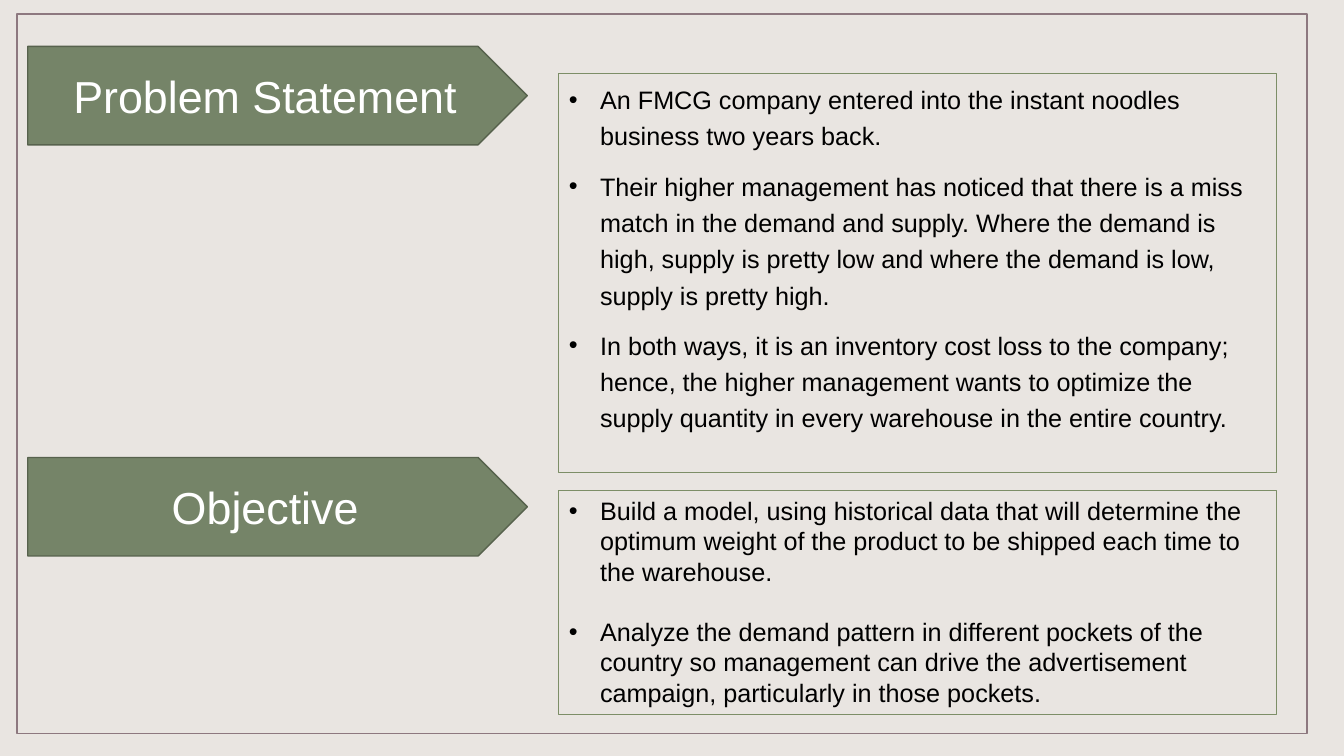
from dataclasses import dataclass

from lxml import etree
from pptx import Presentation
from pptx.dml.color import RGBColor
from pptx.enum.shapes import MSO_SHAPE
from pptx.enum.text import MSO_ANCHOR, MSO_AUTO_SIZE, PP_ALIGN
from pptx.oxml.ns import qn
from pptx.util import Cm, Pt


@dataclass(frozen=True)
class Theme:
    background: RGBColor = RGBColor.from_string("E9E5E1")
    frame: RGBColor = RGBColor.from_string("8D787F")
    box_line: RGBColor = RGBColor.from_string("7D8E67")
    arrow: RGBColor = RGBColor.from_string("758468")
    arrow_line: RGBColor = RGBColor.from_string("57624D")
    heading_color: RGBColor = RGBColor.from_string("FFFFFF")
    body_color: RGBColor = RGBColor.from_string("000000")
    font: str = "Arial"
    heading_size: Pt = Pt(32)
    body_size: Pt = Pt(18)


theme = Theme()


def set_line(sp, color, width):
    sp.line.color.rgb = color
    sp.line.width = Pt(width)


def format_runs(p, size, color):
    for r in p.runs:
        r.font.name = theme.font
        r.font.size = size
        r.font.bold = False
        r.font.color.rgb = color


# Slide and background
prs = Presentation()
prs.slide_width, prs.slide_height = Cm(33.87), Cm(19.05)
s = prs.slides.add_slide(prs.slide_layouts[3])
s.background.fill.solid()
s.background.fill.fore_color.rgb = theme.background

# Outer frame
frame = s.shapes.add_shape(MSO_SHAPE.RECTANGLE, Cm(0.43), Cm(0.35), Cm(32.51), Cm(18.14))
frame.shadow.inherit = False
frame.fill.background()
set_line(frame, theme.frame, 1)

# Heading arrows, placed behind the placeholders
arrows = []
for top in (1.17, 11.53):
    arrow = s.shapes.add_shape(MSO_SHAPE.PENTAGON, Cm(0.7), Cm(top), Cm(12.59), Cm(2.48))
    arrow.shadow.inherit = False
    arrow.fill.solid()
    arrow.fill.fore_color.rgb = theme.arrow
    set_line(arrow, theme.arrow_line, 1)
    s.shapes._spTree.insert(2, arrow._element)
    arrows.append(arrow)

# Headings: the title lies on the first arrow
title = s.shapes.title
title.left, title.top, title.width, title.height = Cm(0.7), Cm(1.17), Cm(11.97), Cm(2.48)
for sp, text in ((title, "Problem Statement"), (arrows[1], "Objective")):
    tf = sp.text_frame
    tf.text = text
    tf.word_wrap = True
    tf.auto_size = MSO_AUTO_SIZE.NONE
    tf.vertical_anchor = MSO_ANCHOR.MIDDLE
    tf.paragraphs[0].alignment = PP_ALIGN.CENTER
    format_runs(tf.paragraphs[0], theme.heading_size, theme.heading_color)

# Bulleted boxes: top, height, line spacing, gap between bullets, bullets
boxes = [
    (1.85, 10.06, 1.2, 10, [
        "An FMCG company entered into the instant noodles business two years back.",
        "Their higher management has noticed that there is a miss match in the demand "
        "and supply. Where the demand is high, supply is pretty low and where the "
        "demand is low, supply is pretty high.",
        "In both ways, it is an inventory cost loss to the company; hence, the higher "
        "management wants to optimize the supply quantity in every warehouse in the "
        "entire country.",
    ]),
    (12.36, 5.64, 1.0, 21.5, [
        "Build a model, using historical data that will determine the optimum weight "
        "of the product to be shipped each time to the warehouse.",
        "Analyze the demand pattern in different pockets of the country so management "
        "can drive the advertisement campaign, particularly in those pockets.",
    ]),
]
for idx, (top, height, spacing, gap, bullets) in enumerate(boxes, start=1):
    body = s.placeholders[idx]
    body.left, body.top, body.width, body.height = Cm(14.08), Cm(top), Cm(18.09), Cm(height)
    set_line(body, theme.box_line, 0.75)
    tf = body.text_frame
    tf.text = "\n".join(bullets)
    tf.word_wrap = True
    tf.auto_size = MSO_AUTO_SIZE.NONE
    tf.vertical_anchor = MSO_ANCHOR.TOP
    for i, p in enumerate(tf.paragraphs):
        p.line_spacing = spacing
        p.space_before = Pt(gap if i else 0)
        format_runs(p, theme.body_size, theme.body_color)
        pPr = p._p.get_or_add_pPr()
        pPr.set("marL", str(Cm(0.79)))
        pPr.set("indent", str(-Cm(0.79)))
        etree.SubElement(pPr, qn("a:buFont"), typeface=theme.font)
        etree.SubElement(pPr, qn("a:buChar"), char="•")

prs.save("out.pptx")
